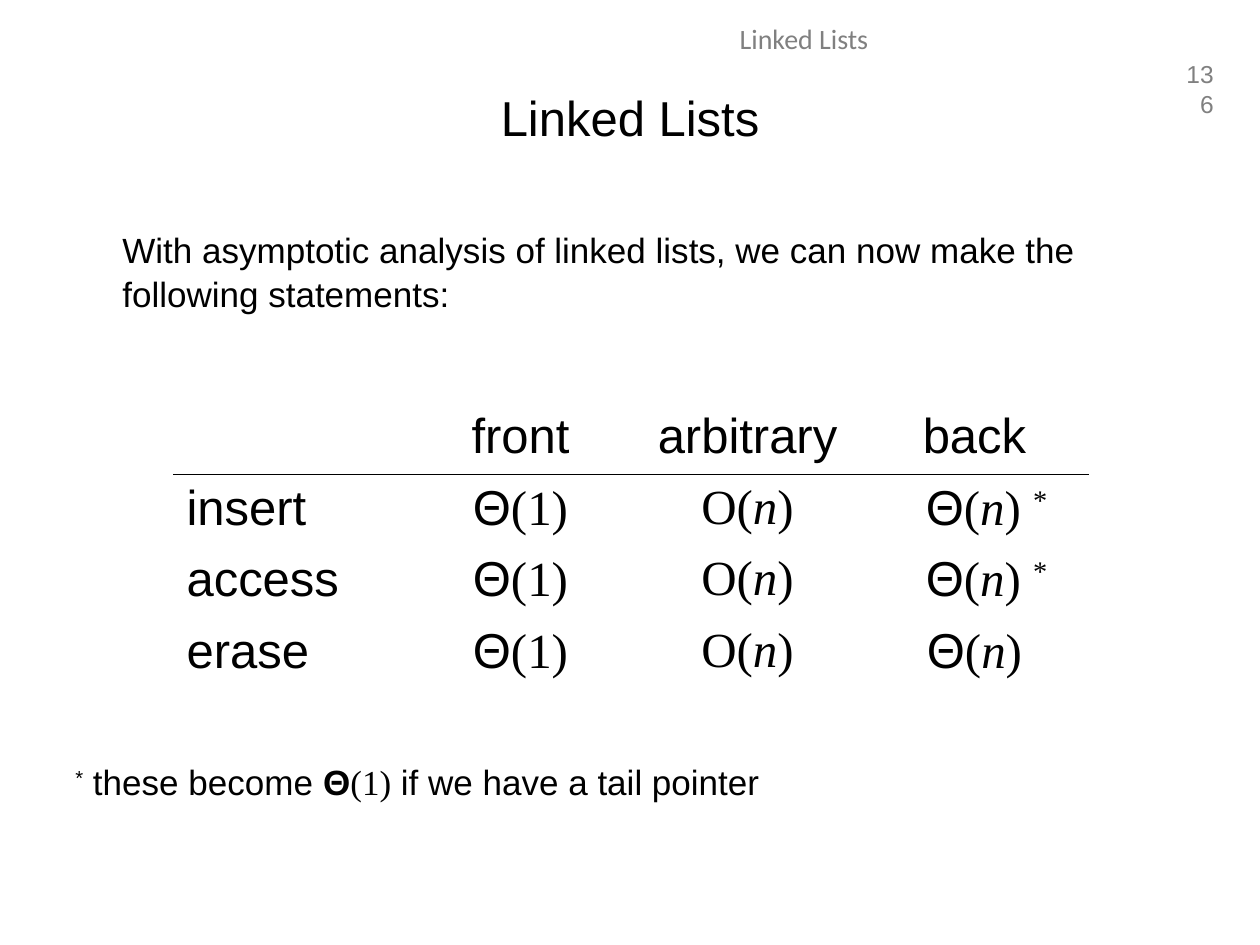
from lxml import etree
from pptx import Presentation
from pptx.dml.color import RGBColor
from pptx.enum.text import MSO_ANCHOR, PP_ALIGN
from pptx.oxml.ns import qn
from pptx.util import Emu, Pt

LEFT, CENTER, RIGHT = PP_ALIGN.LEFT, PP_ALIGN.CENTER, PP_ALIGN.RIGHT
TOP, MIDDLE = MSO_ANCHOR.TOP, MSO_ANCHOR.MIDDLE
SANS, SERIF, HEADER_FONT = "Arial", "Times New Roman", "Calibri"
BLACK, GRAY = "000000", "808080"

# Rich text: a list of (text, font, style), style in "", "bold", "italic", "super"
THETA = ("Θ", SANS, "")
N = ("n", SERIF, "italic")
STAR = ("*", SERIF, "super")
CONSTANT = [THETA, ("(1)", SERIF, "")]
BIG_O = [("O(", SERIF, ""), N, (")", SERIF, "")]
LINEAR = [THETA, ("(", SERIF, ""), N, (")", SERIF, "")]
LINEAR_STARRED = [THETA, ("(", SERIF, ""), N, (") ", SERIF, ""), STAR]


def px(length):
    return Emu(round(length * 914400 / 126))


def color(hex_value):
    return RGBColor.from_string(hex_value)


def plain(text, font=SANS):
    return [(text, font, "")]


def write(paragraph, pieces, size, align=LEFT, hex_value=BLACK):
    paragraph.alignment = align
    for text, font, style in pieces:
        run = paragraph.add_run()
        run.text = text
        run.font.name = font
        run.font.size = Pt(size)
        run.font.color.rgb = color(hex_value)
        run.font.bold = style == "bold"
        run.font.italic = style == "italic"
        if style == "super":
            run.font._element.set("baseline", "30000")


def add_text(slide, box, pieces, size, align, hex_value=BLACK, anchor=TOP):
    frame = slide.shapes.add_textbox(*map(px, box)).text_frame
    frame.word_wrap = True
    frame.vertical_anchor = anchor
    write(frame.paragraphs[0], pieces, size, align, hex_value)
    return frame


def add_border(cell, side):
    line = etree.Element(qn(f"a:{side}"), w=str(Pt(1)))
    fill = etree.SubElement(line, qn("a:solidFill"))
    etree.SubElement(fill, qn("a:srgbClr"), val=BLACK)
    cell._tc.get_or_add_tcPr().insert(0, line)


def add_body(slide):
    frame = add_text(slide, (63, 220, 1134, 624), plain(
        "With asymptotic analysis of linked lists, we can now make the "
        "following statements:"), 20, LEFT)
    statement = frame.paragraphs[0]
    statement.line_spacing = 1.05
    statement._p.get_or_add_pPr().set("marL", str(px(47)))

    # Footnote below the table
    footnote = frame.add_paragraph()
    footnote.space_before = Pt(255)
    write(footnote, [("*", SANS, "super"), (" these become ", SANS, ""),
                     ("Θ", SANS, "bold"), ("(1)", SERIF, ""),
                     (" if we have a tail pointer", SANS, "")], 20)


def add_run_times(slide):
    operations = [("insert", LINEAR_STARRED), ("access", LINEAR_STARRED),
                  ("erase", LINEAR)]
    rows = [[[], plain("front"), plain("arbitrary"), plain("back")]]
    rows += [[plain(name), CONSTANT, BIG_O, back] for name, back in operations]
    widths = (233, 227, 227, 227)
    row_height = 67

    table = slide.shapes.add_table(
        len(rows), len(widths), px(174), px(403),
        px(sum(widths)), px(row_height * len(rows))).table
    table.first_row = table.horz_banding = False
    for column, width in zip(table.columns, widths):
        column.width = px(width)
    for r, row in enumerate(rows):
        table.rows[r].height = px(row_height)
        for c, pieces in enumerate(row):
            cell = table.cell(r, c)
            cell.fill.background()
            write(cell.text_frame.paragraphs[0], pieces, 28,
                  CENTER if c else LEFT)
            # Keep starred entries lined up with the unstarred one
            if STAR in pieces:
                cell.margin_left = px(37)
            # Rule between the header and the operations
            if r < 2:
                add_border(cell, "lnT" if r else "lnB")


def main():
    deck = Presentation()
    deck.slide_width, deck.slide_height = px(1260), px(945)
    slide = deck.slides.add_slide(deck.slide_layouts[6])

    # Page number and running header
    add_text(slide, (1170, 53, 56, 42), plain("136"), 14, RIGHT, GRAY)
    add_text(slide, (402, 15, 804, 50), plain("Linked Lists", HEADER_FONT),
             16, CENTER, GRAY)

    # Title, statement and run times
    add_text(slide, (63, 38, 1134, 158), plain("Linked Lists"), 28, CENTER,
             anchor=MIDDLE)
    add_body(slide)
    add_run_times(slide)
    deck.save("out.pptx")


if __name__ == "__main__":
    main()
